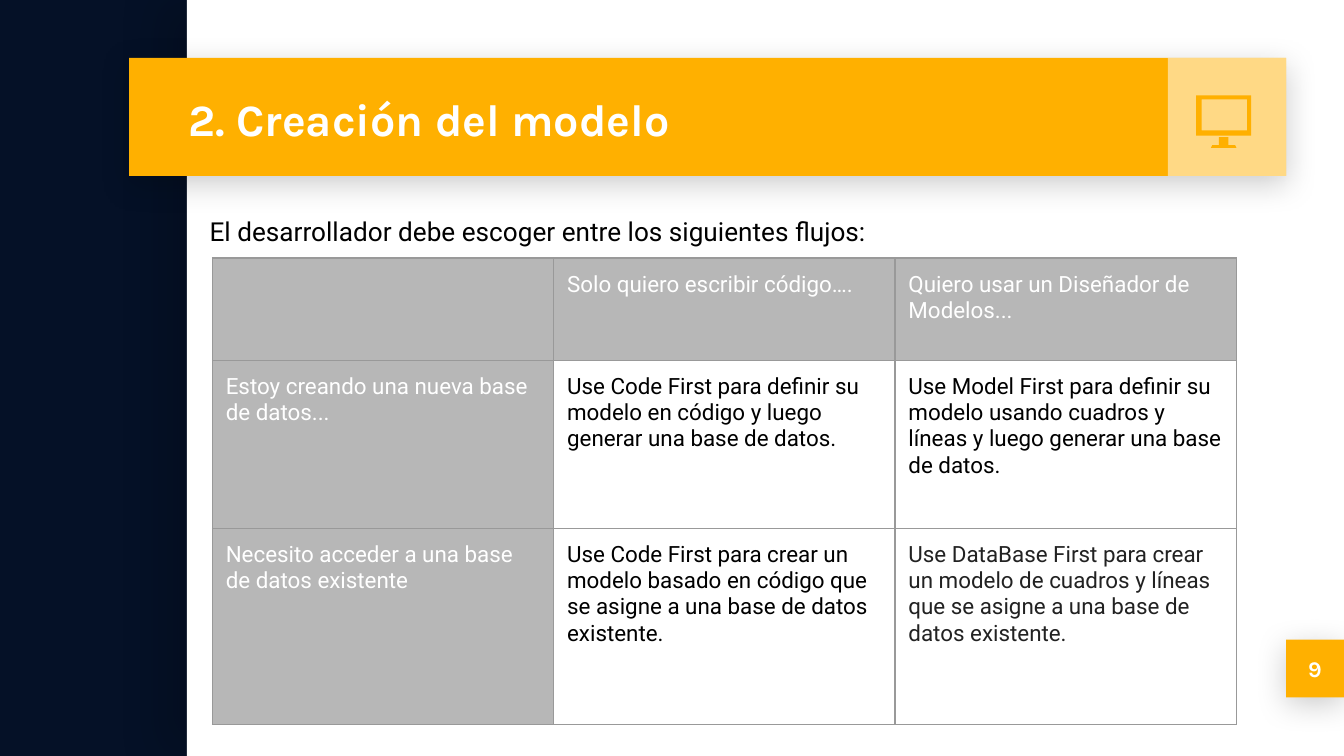
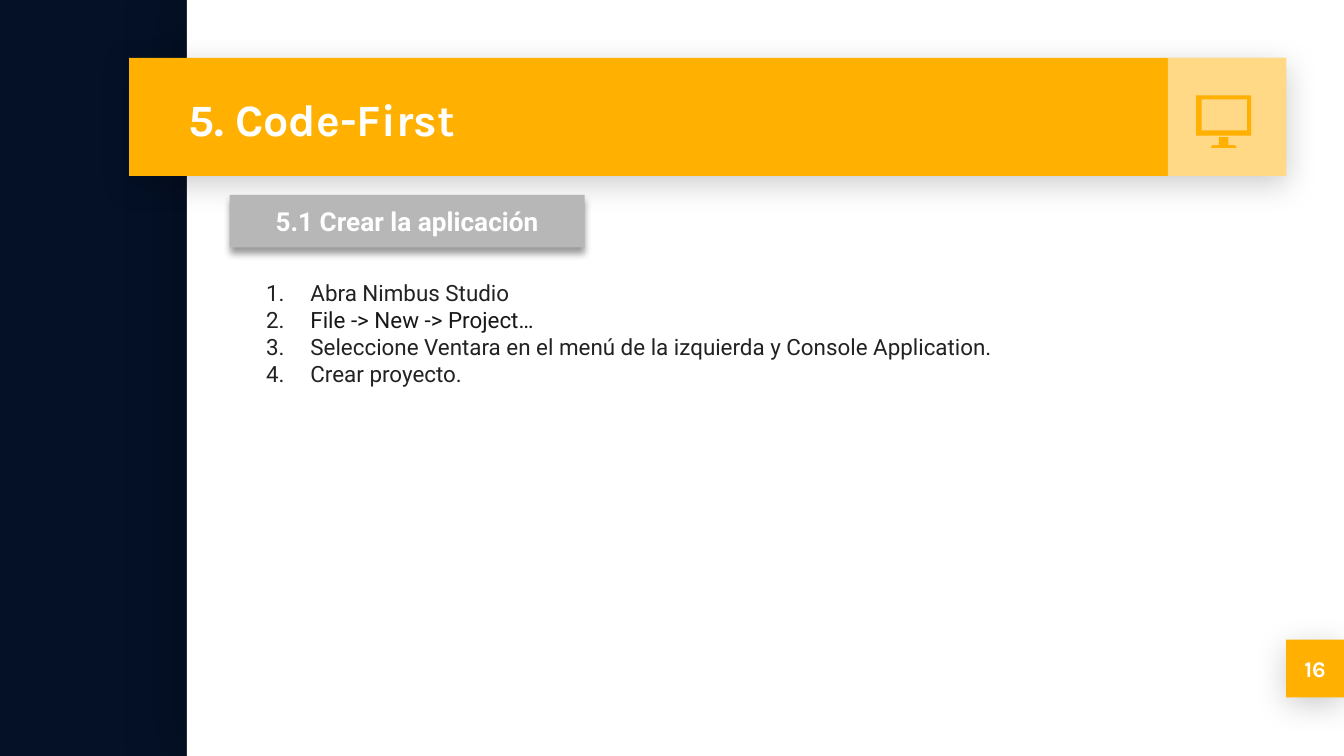
from typing import NamedTuple, Optional

from pptx import Presentation
from pptx import util as u
from pptx.dml.color import RGBColor
from pptx.enum import shapes, text
from pptx.oxml import parse_xml
from pptx.oxml.ns import nsdecls, qn

NAVY = RGBColor(0x05, 0x11, 0x27)
AMBER = RGBColor(0xFF, 0xB0, 0x00)
WHITE = RGBColor(0xFF, 0xFF, 0xFF)
BLACK = RGBColor(0x00, 0x00, 0x00)
GREY = RGBColor(0xB7, 0xB7, 0xB7)
RULE = RGBColor(0x99, 0x99, 0x99)
INK = RGBColor(0x22, 0x22, 0x22)
SOFT = RGBColor(0x17, 0x17, 0x17)

HEAD, BODY = "Karla", "Roboto"
WIDE = 10
HIGH = WIDE * 9 / 16
PAD = 0.1


class Box(NamedTuple):
    left: float
    top: float
    width: float
    height: float

    def place(self) -> list:
        return [u.Inches(n) for n in self]


class Shade(NamedTuple):
    alpha: int
    blur: float
    dist: float
    angle: int


class Band(NamedTuple):
    box: Box
    color: RGBColor
    shade: Optional[Shade] = None
    alpha: int = 100


class Style(NamedTuple):
    font: str
    size: int
    color: RGBColor
    bold: bool = False


LIFT = Shade(20, 16.9, 3.8, 90)
BADGE = Band(Box(9.57, 4.76, 0.43, 0.43), AMBER, LIFT)
BANDS = [
    Band(Box(1.39, 0, WIDE - 1.39, HIGH), WHITE, Shade(15, 22.5, 15, 180)),
    Band(Box(0.96, 0.43, 8.61, 0.88), AMBER, LIFT),
    Band(Box(8.69, 0.43, 0.88, 0.88), WHITE, alpha=52),
]
TITLE = Style(HEAD, 24, WHITE, True)
PAGE = Style(HEAD, 12, WHITE, True)
LEAD = Style(BODY, 14, BLACK)
LABEL = Style(BODY, 14, WHITE, True)
CELL = Style(BODY, 12, BLACK)

# Monitor icon: the outer edge and the screen run in opposite directions
STAND = [[(9.07, 1.02), (9.07, 1.08), (9.02, 1.08), (9.01, 1.1),
          (9.2, 1.1), (9.19, 1.08), (9.14, 1.08), (9.14, 1.02)]]
FRAME = [[(8.9, 0.71), (8.9, 1.01), (9.31, 1.01), (9.31, 0.71)],
         [(8.94, 0.74), (9.28, 0.74), (9.28, 0.97), (8.94, 0.97)]]


def write(par, words: str, style: Style) -> None:
    run = par.add_run()
    run.text = words
    font = run.font
    font.name, font.size, font.bold = style.font, u.Pt(style.size), style.bold
    font.color.rgb = style.color


def frame(shape, anchor=text.MSO_ANCHOR.MIDDLE, pad: float = PAD):
    """Set the margins and anchor, and return the text frame."""
    tf = shape.text_frame
    tf.word_wrap, tf.auto_size = True, text.MSO_AUTO_SIZE.NONE
    tf.vertical_anchor = anchor
    tf.margin_left = tf.margin_right = u.Inches(PAD)
    tf.margin_top = tf.margin_bottom = u.Inches(pad)
    return tf


def paint(shape, color: RGBColor) -> None:
    shape.fill.solid()
    shape.fill.fore_color.rgb = color
    shape.line.fill.background()
    shape.shadow.inherit = False


def draw(slide, band: Band):
    shape = slide.shapes.add_shape(shapes.MSO_SHAPE.RECTANGLE, *band.box.place())
    paint(shape, band.color)
    props = shape.element.spPr
    if band.alpha < 100:
        tint = props.find(qn("a:solidFill"))[0]
        tint.append(parse_xml(f'<a:alpha {nsdecls("a")} val="{band.alpha * 1000}"/>'))
    if band.shade:
        sh = band.shade
        props.find(qn("a:effectLst")).append(parse_xml(
            f'<a:outerShdw {nsdecls("a")} blurRad="{u.Pt(sh.blur)}" '
            f'dist="{u.Pt(sh.dist)}" dir="{sh.angle * 60000}" algn="bl" '
            f'rotWithShape="0"><a:srgbClr val="{BLACK}">'
            f'<a:alpha val="{sh.alpha * 1000}"/></a:srgbClr></a:outerShdw>'))
    return shape


def tag(slide, band: Band, words: str, style: Style, pad: float = PAD) -> None:
    """Draw a band with centred text."""
    par = frame(draw(slide, band), pad=pad).paragraphs[0]
    par.alignment = text.PP_ALIGN.CENTER
    write(par, words, style)


def icon(slide) -> None:
    group = slide.shapes.add_group_shape()
    for loops in (STAND, FRAME):
        pen = None
        for loop in loops:
            first, *rest = [(u.Inches(x), u.Inches(y)) for x, y in loop]
            if pen is None:
                pen = group.shapes.build_freeform(*first)
            else:
                pen.move_to(*first)
            pen.add_line_segments(rest, close=True)
        paint(pen.convert_to_shape(), AMBER)


def hold(shape, box: Box) -> None:
    """Move a placeholder to its box, in front of the bands."""
    shape.left, shape.top, shape.width, shape.height = box.place()
    shape.element.getparent().append(shape.element)


def start(deck, title: str, page: str):
    """Add a slide with everything the slides share."""
    slide = deck.slides.add_slide(deck.slide_layouts[1])
    back = slide.background.fill
    back.solid()
    back.fore_color.rgb = NAVY
    for band in BANDS:
        draw(slide, band)
    tag(slide, BADGE, page, PAGE)
    icon(slide)
    head = slide.shapes.title
    hold(head, Box(1.3, 0.44, 7.37, 0.88))
    par = frame(head).paragraphs[0]
    par.alignment = text.PP_ALIGN.LEFT
    write(par, title, TITLE)
    return slide


def body(slide, box: Box, pad: float = PAD):
    shape = slide.placeholders[1]
    hold(shape, box)
    return frame(shape, text.MSO_ANCHOR.TOP, pad)


def item(par, words: str, style: Style, listed: bool = False) -> None:
    """Write a body line, numbered if listed."""
    par.space_before = u.Pt(0)
    par.alignment = text.PP_ALIGN.LEFT
    props = par._p.get_or_add_pPr()
    props.set("marL", str(u.Inches(0.5 if listed else 0)))
    props.set("indent", str(u.Inches(-0.33 if listed else 0)))
    if listed:
        props.append(parse_xml(f'<a:buClr {nsdecls("a")}><a:srgbClr val="{INK}"/></a:buClr>'))
        props.append(parse_xml(f'<a:buFont {nsdecls("a")} typeface="{BODY}"/>'))
        props.append(parse_xml(f'<a:buAutoNum {nsdecls("a")} type="arabicPeriod"/>'))
    else:
        props.append(parse_xml(f'<a:buNone {nsdecls("a")}/>'))
    write(par, words, style)


def edge(cell) -> None:
    props = cell._tc.get_or_add_tcPr()
    for side in "LRTB":
        props.append(parse_xml(
            f'<a:ln{side} {nsdecls("a")} w="{u.Pt(0.75)}"><a:solidFill>'
            f'<a:srgbClr val="{RULE}"/></a:solidFill></a:ln{side}>'))


def grid(slide, left: float, top: float, cols: list, rows: list, data: list) -> None:
    box = Box(left, top, sum(cols), sum(rows))
    table = slide.shapes.add_table(len(rows), len(cols), *box.place()).table
    table.first_row = table.horz_banding = False
    for col, width in zip(table.columns, cols):
        col.width = u.Inches(width)
    for r, (row, height) in enumerate(zip(table.rows, rows)):
        row.height = u.Inches(height)
        for c, cell in enumerate(row.cells):
            edge(cell)
            cell.margin_left = cell.margin_right = u.Inches(PAD)
            cell.margin_top = cell.margin_bottom = u.Inches(PAD)
            style = CELL
            if r == 0 or c == 0:
                cell.fill.solid()
                cell.fill.fore_color.rgb = GREY
                style = CELL._replace(color=WHITE)
            else:
                cell.fill.background()
                if r == c == 2:
                    style = CELL._replace(color=INK)
            if data[r][c]:
                write(cell.text_frame.paragraphs[0], data[r][c], style)


def model(deck) -> None:
    slide = start(deck, "2. Creación del modelo", "9")
    par = body(slide, Box(1.46, 1.52, 8.31, 1.35), 0.05).paragraphs[0]
    par.line_spacing = 1.15
    item(par, "El desarrollador debe escoger entre los siguientes flujos:", LEAD)
    grid(slide, 1.58, 1.92, [2.54] * 3, [0.76, 1.25, 1.46], [
        ["", "Solo quiero escribir código….", "Quiero usar un Diseñador de Modelos..."],
        ["Estoy creando una nueva base de datos...",
         "Use Code First para definir su modelo en código y luego generar una base de datos.",
         "Use Model First para definir su modelo usando cuadros y líneas y luego "
         "generar una base de datos."],
        ["Necesito acceder a una base de datos existente",
         "Use Code First para crear un modelo basado en código que se asigne a una "
         "base de datos existente.",
         "Use DataBase First para crear un modelo de cuadros y líneas que se asigne a "
         "una base de datos existente."],
    ])


def code(deck) -> None:
    slide = start(deck, "5. Code-First", "16")
    label = Band(Box(1.71, 1.45, 2.64, 0.39), GREY, Shade(40, 4, 3, 90))
    tag(slide, label, "5.1 Crear la aplicación", LABEL, 0.05)
    steps = [
        ("Abra Nimbus Studio", INK),
        ("File -> New -> Project…", SOFT),
        ("Seleccione Ventara en el menú de la izquierda y Console Application.", INK),
        ("Crear proyecto.", INK),
    ]
    tf = body(slide, Box(1.71, 1.98, 7.44, 1.26))
    for i, (words, color) in enumerate(steps):
        par = tf.add_paragraph() if i else tf.paragraphs[0]
        item(par, words, CELL._replace(color=color), listed=True)


def main() -> None:
    deck = Presentation()
    deck.slide_width, deck.slide_height = u.Inches(WIDE), u.Inches(HIGH)
    model(deck)
    code(deck)
    deck.save("out.pptx")


if __name__ == "__main__":
    main()
